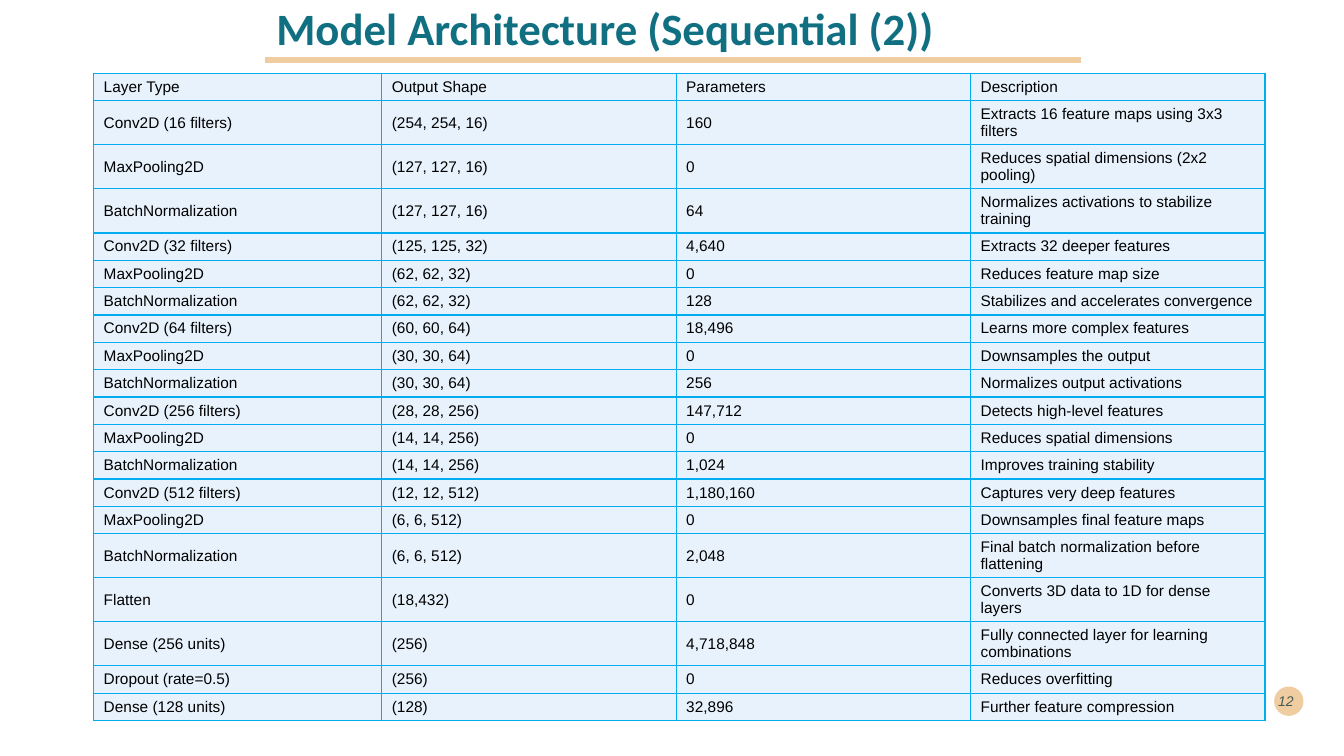
from lxml import etree
from pptx import Presentation
from pptx import util as u
from pptx.dml.color import RGBColor
from pptx.enum import shapes, text
from pptx.oxml import ns

TEAL = RGBColor(0x10, 0x70, 0x82)
SAND = RGBColor(0xF0, 0xCD, 0xA1)
DARK = RGBColor(0x00, 0x29, 0x2E)
BLACK = RGBColor(0x00, 0x00, 0x00)
PALE_BLUE = RGBColor(0xE7, 0xF2, 0xFC)
BORDER_BLUE = RGBColor(0x00, 0xAE, 0xEF)

SINGLE_ROW = 0.69
DOUBLE_ROW = 1.11
TWO_LINE_LENGTH = 38
COLUMN_WIDTHS = (7.26, 7.42, 7.42, 7.42)

LAYERS = [
    ("Layer Type", "Output Shape", "Parameters", "Description"),
    ("Conv2D (16 filters)", "(254, 254, 16)", "160", "Extracts 16 feature maps using 3x3 filters"),
    ("MaxPooling2D", "(127, 127, 16)", "0", "Reduces spatial dimensions (2x2 pooling)"),
    ("BatchNormalization", "(127, 127, 16)", "64", "Normalizes activations to stabilize training"),
    ("Conv2D (32 filters)", "(125, 125, 32)", "4,640", "Extracts 32 deeper features"),
    ("MaxPooling2D", "(62, 62, 32)", "0", "Reduces feature map size"),
    ("BatchNormalization", "(62, 62, 32)", "128", "Stabilizes and accelerates convergence"),
    ("Conv2D (64 filters)", "(60, 60, 64)", "18,496", "Learns more complex features"),
    ("MaxPooling2D", "(30, 30, 64)", "0", "Downsamples the output"),
    ("BatchNormalization", "(30, 30, 64)", "256", "Normalizes output activations"),
    ("Conv2D (256 filters)", "(28, 28, 256)", "147,712", "Detects high-level features"),
    ("MaxPooling2D", "(14, 14, 256)", "0", "Reduces spatial dimensions"),
    ("BatchNormalization", "(14, 14, 256)", "1,024", "Improves training stability"),
    ("Conv2D (512 filters)", "(12, 12, 512)", "1,180,160", "Captures very deep features"),
    ("MaxPooling2D", "(6, 6, 512)", "0", "Downsamples final feature maps"),
    ("BatchNormalization", "(6, 6, 512)", "2,048", "Final batch normalization before flattening"),
    ("Flatten", "(18,432)", "0", "Converts 3D data to 1D for dense layers"),
    ("Dense (256 units)", "(256)", "4,718,848", "Fully connected layer for learning combinations"),
    ("Dropout (rate=0.5)", "(256)", "0", "Reduces overfitting"),
    ("Dense (128 units)", "(128)", "32,896", "Further feature compression"),
]


def write_text(frame, words, size, color, font="Arial", bold=False, italic=False,
               align=text.PP_ALIGN.LEFT, spacing=None, opacity=None):
    frame.word_wrap = True
    paragraph = frame.paragraphs[0]
    paragraph.alignment = align
    paragraph.line_spacing = spacing
    run = paragraph.add_run()
    run.text = words
    run.font.name = font
    run.font.size = u.Pt(size)
    run.font.bold = bold
    run.font.italic = italic
    run.font.color.rgb = color
    if opacity is not None:
        tint = run.font.fill._xPr.find(".//" + ns.qn("a:srgbClr"))
        etree.SubElement(tint, ns.qn("a:alpha"), val=str(opacity * 1000))


def add_title(slide, left, top, width, height):
    title = slide.shapes.title
    title.left, title.top = u.Cm(left), u.Cm(top)
    title.width, title.height = u.Cm(width), u.Cm(height)
    frame = title.text_frame
    frame.auto_size = text.MSO_AUTO_SIZE.NONE
    frame.vertical_anchor = text.MSO_ANCHOR.MIDDLE
    write_text(frame, "Model Architecture (Sequential (2))", 32, TEAL,
               font="Calibri", bold=True, spacing=0.9)


def add_title_rule(slide, left, top, width, height):
    bottom = u.Cm(top + height)
    builder = slide.shapes.build_freeform(u.Cm(left), u.Cm(top))
    builder.move_to(u.Cm(left), bottom)
    builder.add_line_segments([(u.Cm(left + width), bottom)], close=False)
    rule = builder.convert_to_shape()
    rule.shadow.inherit = False
    rule.fill.background()
    rule.line.color.rgb = SAND
    rule.line.width = u.Pt(4.32)


def add_page_number(slide, left, top, size):
    disc = slide.shapes.add_shape(
        shapes.MSO_SHAPE.OVAL, u.Cm(left), u.Cm(top), u.Cm(size), u.Cm(size))
    disc.shadow.inherit = False
    disc.fill.solid()
    disc.fill.fore_color.rgb = SAND
    disc.line.fill.background()
    number = slide.shapes.add_textbox(
        u.Cm(left - 0.25), u.Cm(top - 0.15), u.Cm(size + 0.25), u.Cm(size + 0.28))
    number.text_frame.vertical_anchor = text.MSO_ANCHOR.MIDDLE
    write_text(number.text_frame, "12", 10, DARK, italic=True,
               align=text.PP_ALIGN.RIGHT, opacity=70)


def add_borders(cell):
    properties = cell._tc.get_or_add_tcPr()
    for index, side in enumerate(("lnL", "lnR", "lnT", "lnB")):
        line = etree.Element(ns.qn("a:" + side), w=str(u.Pt(1)))
        fill = etree.SubElement(line, ns.qn("a:solidFill"))
        etree.SubElement(fill, ns.qn("a:srgbClr"), val=str(BORDER_BLUE))
        properties.insert(index, line)


def add_layer_table(slide, left, top):
    heights = [DOUBLE_ROW if len(layer[-1]) > TWO_LINE_LENGTH else SINGLE_ROW
               for layer in LAYERS]
    table = slide.shapes.add_table(
        len(LAYERS), len(COLUMN_WIDTHS), u.Cm(left), u.Cm(top),
        u.Cm(sum(COLUMN_WIDTHS)), u.Cm(sum(heights))).table
    table.first_row = False
    table.horz_banding = False
    for column, width in zip(table.columns, COLUMN_WIDTHS):
        column.width = u.Cm(width)
    for row, height, layer in zip(table.rows, heights, LAYERS):
        row.height = u.Cm(height)
        for cell, words in zip(row.cells, layer):
            cell.vertical_anchor = text.MSO_ANCHOR.MIDDLE
            cell.margin_top = cell.margin_bottom = u.Cm(0.05)
            cell.fill.solid()
            cell.fill.fore_color.rgb = PALE_BLUE
            add_borders(cell)
            write_text(cell.text_frame, words, 11, BLACK)


def main():
    presentation = Presentation()
    presentation.slide_width = u.Cm(33.87)
    presentation.slide_height = u.Cm(19.05)
    slide = presentation.slides.add_slide(presentation.slide_layouts[5])
    add_page_number(slide, 32.11, 17.3, 0.74)
    add_title(slide, 6.71, -1.07, 29.21, 3.68)
    add_layer_table(slide, 2.36, 1.85)
    add_title_rule(slide, 6.68, -1.52, 20.57, 3.04)
    presentation.save("out.pptx")


if __name__ == "__main__":
    main()
